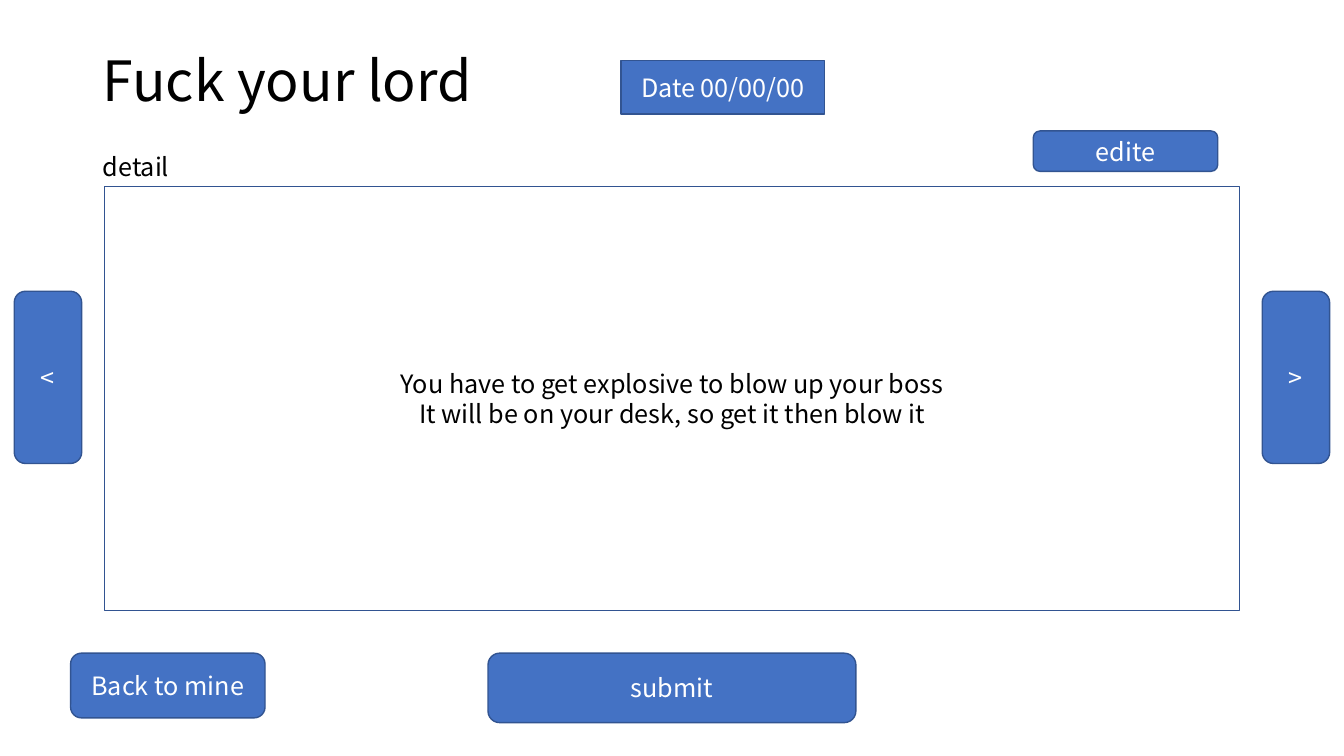
from dataclasses import dataclass

from pptx import Presentation
from pptx.dml.color import RGBColor
from pptx.enum.shapes import MSO_SHAPE
from pptx.enum.text import MSO_ANCHOR, PP_ALIGN
from pptx.util import Cm, Pt

# Content
TITLE = "Fuck your lord"
DETAIL_LABEL = "detail"
DETAIL_LINES = [
    "You have to get explosive to blow up your boss",
    "It will be on your desk, so get it then blow it",
]
DATE = "Date 00/00/00"
EDIT, SUBMIT, BACK = "edite", "submit", "Back to mine"
PREVIOUS, NEXT = "<", ">"


@dataclass(frozen=True)
class Theme:
    font: str = "Noto Sans CJK KR"
    title_size: float = 39.6
    body_size: float = 18
    ink: RGBColor = RGBColor(0x00, 0x00, 0x00)
    on_button: RGBColor = RGBColor(0xFF, 0xFF, 0xFF)
    button: RGBColor = RGBColor(0x44, 0x72, 0xC4)
    outline: RGBColor = RGBColor(0x32, 0x54, 0x91)
    outline_width: float = 1


THEME = Theme()

# Layout, in centimetres
SLIDE_W, SLIDE_H = 33.87, 19.05
TEXT_LEFT = 2.34
PANEL_W = 28.6
SUBMIT_W = 9.27
FOOTER_TOP = 16.46
ARROW_MARGIN, ARROW_TOP, ARROW_W, ARROW_H = 0.36, 7.34, 1.7, 4.34


def centred(width):
    return (SLIDE_W - width) / 2


def write(frame, lines, size=THEME.body_size, color=THEME.ink,
          align=PP_ALIGN.LEFT, anchor=MSO_ANCHOR.TOP, spacing=None):
    frame.word_wrap = True
    frame.vertical_anchor = anchor
    for index, line in enumerate(lines):
        paragraph = frame.add_paragraph() if index else frame.paragraphs[0]
        paragraph.alignment = align
        paragraph.line_spacing = spacing
        run = paragraph.add_run()
        run.text = line
        run.font.name = THEME.font
        run.font.size = Pt(size)
        run.font.color.rgb = color


def add_label(slide, text, box, **text_format):
    label = slide.shapes.add_textbox(*map(Cm, box))
    write(label.text_frame, [text], **text_format)


def add_box(slide, lines, box, kind=MSO_SHAPE.ROUNDED_RECTANGLE,
            fill=THEME.button, color=THEME.on_button):
    shape = slide.shapes.add_shape(kind, *map(Cm, box))
    shape.shadow.inherit = False
    if fill is None:
        shape.fill.background()
    else:
        shape.fill.solid()
        shape.fill.fore_color.rgb = fill
    shape.line.color.rgb = THEME.outline
    shape.line.width = Pt(THEME.outline_width)
    write(shape.text_frame, lines, color=color,
          align=PP_ALIGN.CENTER, anchor=MSO_ANCHOR.MIDDLE)


def main():
    deck = Presentation()
    deck.slide_width, deck.slide_height = Cm(SLIDE_W), Cm(SLIDE_H)
    slide = deck.slides.add_slide(deck.slide_layouts[6])

    # Heading and label
    add_label(slide, TITLE, (TEXT_LEFT, 1.17, 29.21, 1.88),
              size=THEME.title_size, anchor=MSO_ANCHOR.MIDDLE, spacing=0.9)
    add_label(slide, DETAIL_LABEL, (TEXT_LEFT, 3.68, 10, 1.02))

    # Detail panel
    add_box(slide, DETAIL_LINES, (centred(PANEL_W), 4.7, PANEL_W, 10.69),
            kind=MSO_SHAPE.RECTANGLE, fill=None, color=THEME.ink)

    # Action buttons
    add_box(slide, [SUBMIT], (centred(SUBMIT_W), FOOTER_TOP, SUBMIT_W, 1.75))
    add_box(slide, [EDIT], (26.04, 3.3, 4.65, 1.02))

    # Page arrows, mirrored at the slide edges
    next_left = SLIDE_W - ARROW_MARGIN - ARROW_W
    for arrow, left in ((NEXT, next_left), (PREVIOUS, ARROW_MARGIN)):
        add_box(slide, [arrow], (left, ARROW_TOP, ARROW_W, ARROW_H))

    # Back button and date
    add_box(slide, [BACK], (1.78, FOOTER_TOP, 4.9, 1.63))
    add_box(slide, [DATE], (15.65, 1.52, 5.13, 1.35), kind=MSO_SHAPE.RECTANGLE)

    deck.save("out.pptx")


if __name__ == "__main__":
    main()
